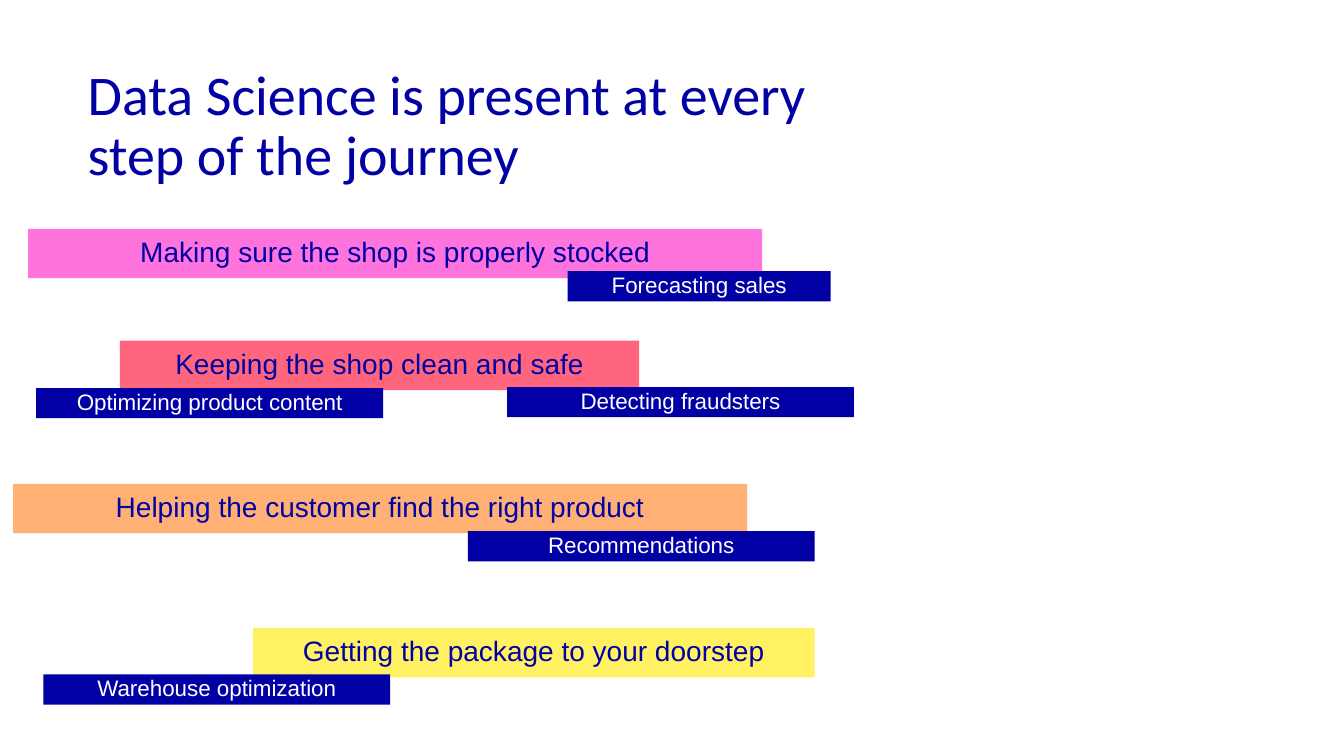
from pptx import Presentation
from pptx import util as u
from pptx.dml.color import RGBColor
from pptx.enum import shapes, text

PX = u.Inches(1) // 100

NAVY = RGBColor(0x00, 0x00, 0xA4)
WHITE = RGBColor(0xFF, 0xFF, 0xFF)
PINK = RGBColor(0xFE, 0x73, 0xDC)
CORAL = RGBColor(0xFF, 0x66, 0x7E)
ORANGE = RGBColor(0xFF, 0xB0, 0x75)
YELLOW = RGBColor(0xFF, 0xF1, 0x62)

STEPS = [
    ("Making sure the shop is properly stocked", 28, 227, 728, PINK),
    ("Keeping the shop clean and safe", 119, 338, 515, CORAL),
    ("Helping the customer find the right product", 13, 480, 728, ORANGE),
    ("Getting the package to your doorstep", 251, 623, 557, YELLOW),
]
USES = [
    ("Forecasting sales", 563, 269, 261),
    ("Optimizing product content", 36, 385, 344),
    ("Detecting fraudsters", 503, 384, 344),
    ("Recommendations", 464, 527, 344),
    ("Warehouse optimization", 43, 669, 344),
]


class JourneySlide:
    """Draws the headline, the journey steps and their data science uses."""

    def __init__(self, deck):
        self.slide = deck.slides.add_slide(deck.slide_layouts[6])

    def label(self, frame, words, inset, align, **font):
        frame.word_wrap = True
        frame.vertical_anchor = text.MSO_ANCHOR.MIDDLE
        for side in ("left", "top", "right", "bottom"):
            setattr(frame, f"margin_{side}", inset * PX)
        line = frame.paragraphs[0]
        line.alignment = align
        line.line_spacing = 0.9
        run = line.add_run()
        run.text = words
        run.font.color.rgb = font.pop("color")
        for key, value in font.items():
            setattr(run.font, key, value)

    def headline(self, words, *box):
        title = self.slide.shapes.add_textbox(*(n * PX for n in box))
        self.label(title.text_frame, words, 0, text.PP_ALIGN.LEFT,
                   name="Calibri", size=u.Pt(40), color=NAVY)

    def bar(self, words, left, top, width, height, fill, color, size):
        box = (n * PX for n in (left, top, width, height))
        bar = self.slide.shapes.add_shape(shapes.MSO_SHAPE.RECTANGLE, *box)
        bar.shadow.inherit = False
        bar.fill.solid()
        bar.fill.fore_color.rgb = fill
        bar.line.fill.background()
        self.label(bar.text_frame, words, 16, text.PP_ALIGN.CENTER,
                   name="Arial", size=u.Pt(size), color=color)

    def step(self, words, left, top, width, fill):
        self.bar(words, left, top, width, 49, fill, NAVY, 20)

    def use(self, words, left, top, width):
        self.bar(words, left, top, width, 30, NAVY, WHITE, 16)


def main():
    deck = Presentation()
    deck.slide_width, deck.slide_height = 1333 * PX, 750 * PX
    journey = JourneySlide(deck)
    journey.headline("Data Science is present at every step of the journey",
                     87, 87, 766, 79)
    for step in STEPS:
        journey.step(*step)
    for use in USES:
        journey.use(*use)
    deck.save("out.pptx")


if __name__ == "__main__":
    main()
